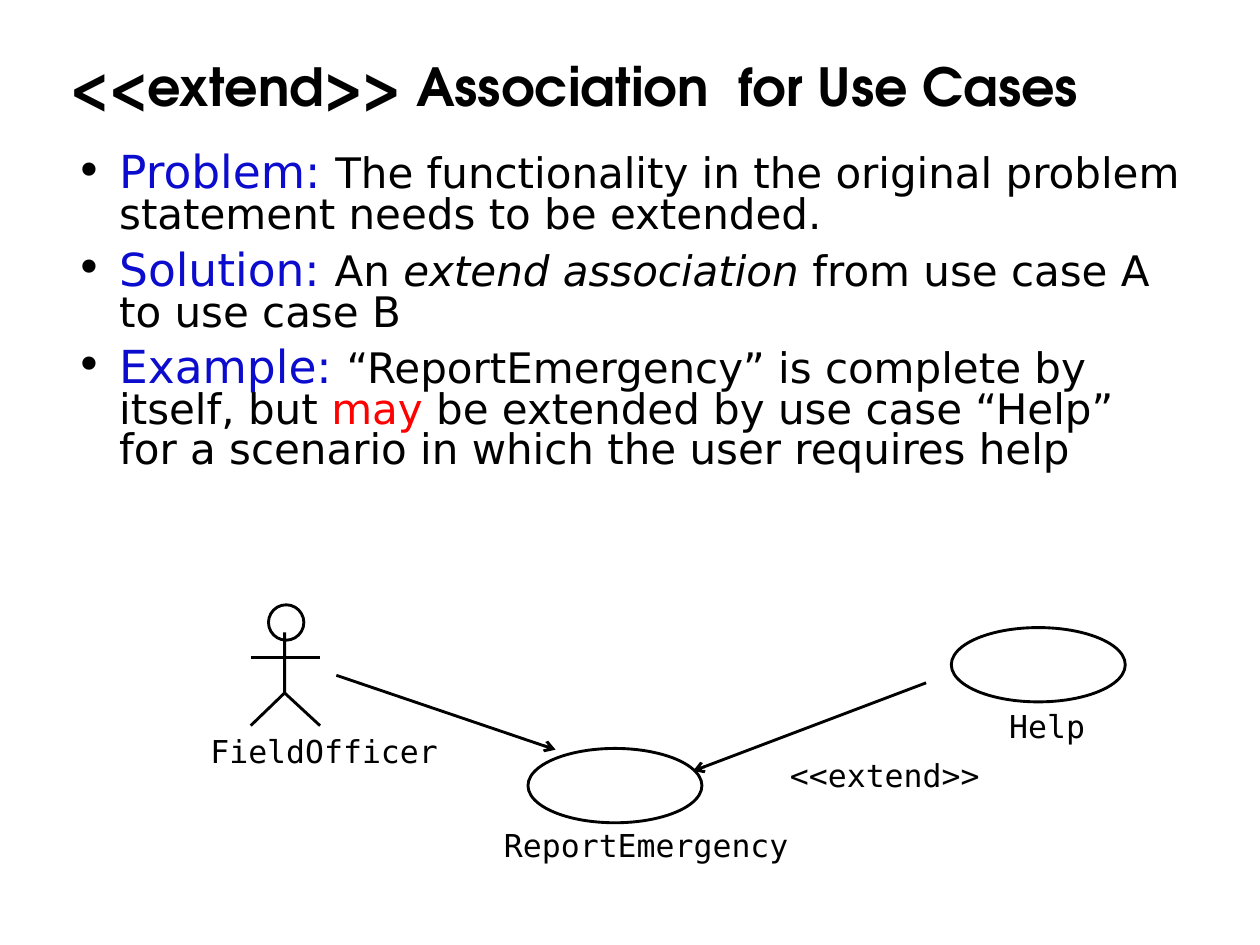
"""Build a slide on the extend association between use cases."""
from lxml.etree import SubElement
from pptx import Presentation
from pptx.dml.color import RGBColor
from pptx.enum.shapes import MSO_CONNECTOR as CONN, MSO_SHAPE as SHAPE
from pptx.enum.text import MSO_ANCHOR as ANCHOR, MSO_AUTO_SIZE as AUTO, PP_ALIGN as ALIGN
from pptx.oxml.ns import qn
from pptx.util import Pt

COLORS = {"ink": "000000", "lead": "0C0CCF", "stress": "FF0000"}
TITLE_FONT, BODY_FONT, LABEL_FONT = "TeX Gyre Adventor", "DejaVu Sans", "DejaVu Sans Mono"
LINE_WIDTH = 1.63

TITLE = "<<extend>> Association  for Use Cases"
TITLE_BOX = (33.1, 17.3, 642.2, 67.7)
BODY_BOX = (36.7, 84.5, 645.2, 206.6)
BULLET_INDENT = 24.9
BULLETS = [
    ("Problem: ", [
        ("The functionality in the original problem statement needs to be extended.", "")]),
    ("Solution: ", [
        ("An ", ""), ("extend association", "italic"), (" from use case A to use case B", "")]),
    ("Example: ", [
        ("“ReportEmergency” is complete by itself, but ", ""), ("may", "stress"),
        (" be extended by use case “Help” for a scenario in which the user requires help", "")]),
]

HEAD = (153.4, 345.6, 20.2, 20.2)
USE_CASE_SIZE = (99.4, 42.5)
USE_CASES = [(301.7, 427.7), (543.6, 358.6)]
BODY_AND_LEG = [(162.7, 361.4), (162.7, 396), (143.3, 414.7)]
LIMBS = [(162.7, 396, 182.9, 414.7), (143.3, 375.8, 182.9, 375.8)]
ARROWS = [(192.2, 385.9, 317.5, 428.4), (529.2, 390.2, 396, 440.6)]
LABELS = [
    ("ReportEmergency", 288, 472.3, 164),
    ("FieldOfficer", 120.2, 418.3, 132),
    ("Help", 576.7, 403.9, 46),
    ("<<extend>>", 451.4, 432, 110),
]
LABEL_HEIGHT = 21.6


def pts(values):
    return [Pt(v) for v in values]


def add_run(p, text, font, size, color="ink", bold=False, italic=False):
    r = p.add_run()
    r.text = text
    r.font.name, r.font.size = font, Pt(size)
    r.font.bold, r.font.italic = bold, italic
    r.font.color.rgb = RGBColor.from_string(COLORS[color])


def set_insets(tf, x, y):
    tf.margin_left = tf.margin_right = Pt(x)
    tf.margin_top = tf.margin_bottom = Pt(y)


def style_line(line):
    line.width = Pt(LINE_WIDTH)
    line.color.rgb = RGBColor.from_string(COLORS["ink"])


def outline(sp):
    sp.shadow.inherit = False
    sp.fill.background()
    style_line(sp.line)


def add_line(s, ends, arrow=False):
    line = s.shapes.add_connector(CONN.STRAIGHT, *pts(ends))
    style_line(line.line)
    if arrow:
        SubElement(line.line._get_or_add_ln(), qn("a:tailEnd"), type="arrow")
    SubElement(line._element.spPr, qn("a:effectLst"))


def add_title(s):
    sp = s.shapes.title
    sp.left, sp.top, sp.width, sp.height = pts(TITLE_BOX)
    tf = sp.text_frame
    tf.auto_size, tf.vertical_anchor, tf.word_wrap = AUTO.NONE, ANCHOR.MIDDLE, True
    set_insets(tf, 7.2, 3.6)
    p = tf.paragraphs[0]
    p.alignment, p.line_spacing = ALIGN.LEFT, 0.9
    add_run(p, TITLE, TITLE_FONT, 30, bold=True)


def add_bullets(s):
    tf = s.shapes.add_textbox(*pts(BODY_BOX)).text_frame
    tf.word_wrap = True
    set_insets(tf, 6.5, 3.6)
    for i, (lead, parts) in enumerate(BULLETS):
        p = tf.add_paragraph() if i else tf.paragraphs[0]
        p.line_spacing, p.space_before = 0.8, Pt(7.5)
        pPr = p._p.get_or_add_pPr()
        pPr.set("marL", str(Pt(BULLET_INDENT)))
        pPr.set("indent", str(-Pt(BULLET_INDENT)))
        color = SubElement(pPr, qn("a:buClr"))
        SubElement(color, qn("a:srgbClr"), val=COLORS["ink"])
        SubElement(pPr, qn("a:buFont"), typeface=BODY_FONT)
        SubElement(pPr, qn("a:buChar"), char="•")
        add_run(p, lead, BODY_FONT, 26, "lead")
        for text, style in parts:
            add_run(p, text, BODY_FONT, 24, "stress" if style == "stress" else "ink",
                    italic=style == "italic")


def add_diagram(s):
    for box in [HEAD] + [corner + USE_CASE_SIZE for corner in USE_CASES]:
        outline(s.shapes.add_shape(SHAPE.OVAL, *pts(box)))
    start, *rest = [pts(point) for point in BODY_AND_LEG]
    builder = s.shapes.build_freeform(*start)
    builder.add_line_segments(rest, close=False)
    outline(builder.convert_to_shape())
    for ends in LIMBS:
        add_line(s, ends)
    for ends in ARROWS:
        add_line(s, ends, arrow=True)
    for text, x, y, width in LABELS:
        tf = s.shapes.add_textbox(*pts((x, y, width, LABEL_HEIGHT))).text_frame
        tf.word_wrap, tf.auto_size = False, AUTO.NONE
        set_insets(tf, 0, 0)
        add_run(tf.paragraphs[0], text, LABEL_FONT, 18)


def main():
    prs = Presentation()
    prs.slide_width, prs.slide_height = Pt(720), Pt(540)
    s = prs.slides.add_slide(prs.slide_layouts[5])
    add_title(s)
    add_bullets(s)
    add_diagram(s)
    prs.save("out.pptx")


if __name__ == "__main__":
    main()
